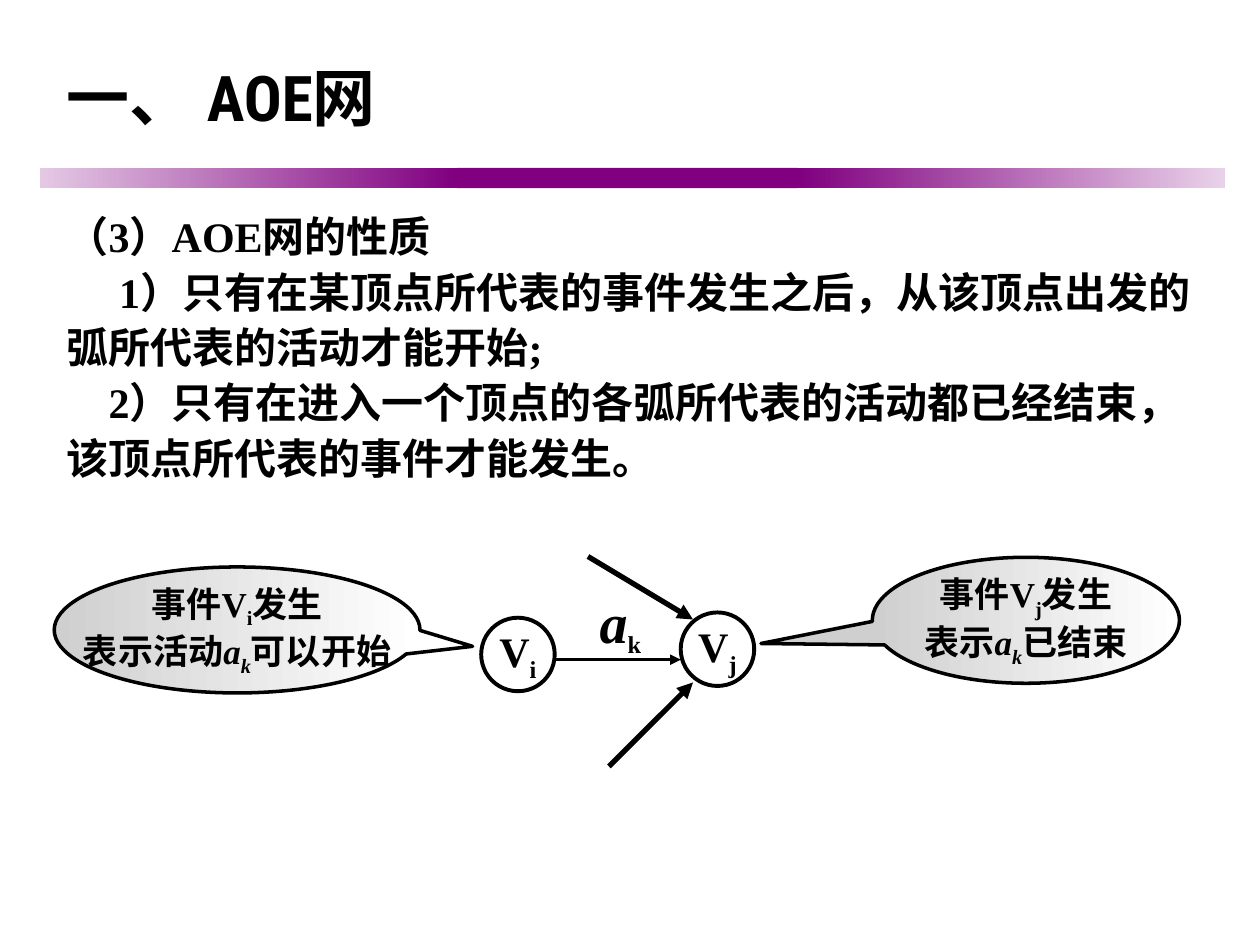
"""Build the slide on the properties of AOE networks."""
from lxml.etree import SubElement
from pptx import Presentation
from pptx.dml.color import RGBColor
from pptx.enum.lang import MSO_LANGUAGE_ID as Lang
from pptx.enum.shapes import MSO_CONNECTOR as Conn, MSO_SHAPE as Kind
from pptx.enum.text import MSO_ANCHOR as Anchor, PP_ALIGN as Align
from pptx.oxml.ns import qn
from pptx.util import Pt

BLACK = RGBColor(0, 0, 0)
WHITE = RGBColor(255, 255, 255)
GREY = RGBColor(0xCF, 0xCF, 0xCF)
PURPLE = RGBColor(0x80, 0, 0x80)
LILAC = RGBColor(0xE4, 0xC9, 0xE4)
PALE = RGBColor(0xE9, 0xD2, 0xE9)
SERIF = "Times New Roman"
HEAD = "Roboto Condensed"

TITLE = [[("一、 AOE网", "")]]
BODY = [
    [("（3）AOE网的性质", "")],
    [("1）只有在某顶点所代表的事件发生之后，从该顶点出发的弧所代表的活动才能开始;", "")],
    [("2）只有在进入一个顶点的各弧所代表的活动都已经结束，该顶点所代表的事件才能发生。", "")],
]
BANDS = [(23, 238, (LILAC, PURPLE)), (261, 195, (PURPLE,)), (456, 244, (PURPLE, PALE))]
NOTES = [
    ((498.5, 318.5, 175.5, 72), (-0.863, 0.184),
     [[("事件V", ""), ("j", "s"), ("发生", "")],
      [("表示", ""), ("a", "i"), ("k", "is"), ("已结束", "")]]),
    ((31, 324, 209, 72), (0.644, 0.13),
     [[("事件V", ""), ("i", "s"), ("发生", "")],
      [("表示活动", ""), ("a", "i"), ("k", "is"), ("可以开始", "")]]),
]
NODES = [(389, 350, "j"), (275, 353, "i")]
SIZE = 42
ARROWS = [(317, 377, 389, 377, 2), (336, 318, 396, 354, 3), (348, 438, 396, 390, 3)]

deck = Presentation()
deck.slide_width, deck.slide_height = Pt(720), Pt(540)
slide = deck.slides.add_slide(deck.slide_layouts[6])
shapes = slide.shapes


def write(shape, paras, size=24, face=SERIF, align=Align.CENTER, anchor=Anchor.MIDDLE,
          wrap=False, space=None, dents=(), sizes=None):
    """Fill a shape with paragraphs of (text, style) runs; i is italic, s is subscript."""
    frame = shape.text_frame
    frame.word_wrap, frame.vertical_anchor = wrap, anchor
    for num, runs in enumerate(paras):
        para = frame.add_paragraph() if num else frame.paragraphs[0]
        para.alignment = align
        if space:
            para.line_spacing = space
        if dents:
            para._p.get_or_add_pPr().set("indent", str(Pt(dents[num])))
        for text, style in runs:
            run = para.add_run()
            run.text = text
            font = run.font
            font.name, font.bold, font.italic = face, True, "i" in style
            font.size = Pt((sizes or {}).get(style, size))
            font.color.rgb = BLACK
            font.language_id = Lang.SIMPLIFIED_CHINESE
            if "s" in style:
                font._element.set("baseline", "-25000")


def label(box, paras, **form):
    write(shapes.add_textbox(*map(Pt, box)), paras, **form)


def draw(kind, box, fills=(), line=None):
    shape = shapes.add_shape(kind, *map(Pt, box))
    shape.shadow.inherit = False
    if len(fills) == 2:
        shape.fill.gradient()
        shape.fill.gradient_angle = 0
        for stop, tint, spot in zip(shape.fill.gradient_stops, fills, (0, 1)):
            stop.color.rgb, stop.position = tint, spot
    elif fills:
        shape.fill.solid()
        shape.fill.fore_color.rgb = fills[0]
    else:
        shape.fill.background()
    if line:
        shape.line.color.rgb, shape.line.width = BLACK, Pt(line)
    else:
        shape.line.fill.background()
    return shape


def arrow(*ends, width):
    link = shapes.add_connector(Conn.STRAIGHT, *map(Pt, ends))
    link.line.color.rgb, link.line.width = BLACK, Pt(width)
    SubElement(link.line._get_or_add_ln(), qn("a:tailEnd"), type="triangle")
    SubElement(link._element.spPr, qn("a:effectLst"))


for left, width, fills in BANDS:
    draw(Kind.RECTANGLE, (left, 96, width, 11.5), fills)

label((31, 26, 652, 58), TITLE, size=36, face=HEAD, align=Align.LEFT, wrap=True)
label((31, 114, 663, 197), BODY, align=Align.LEFT, anchor=Anchor.TOP, wrap=True,
      space=1.1, dents=(0, 30, 24))

for box, tip, paras in NOTES:
    note = draw(Kind.OVAL_CALLOUT, box, (GREY, WHITE), 2)
    note.adjustments[0], note.adjustments[1] = tip
    write(note, paras, size=20)

for *ends, width in ARROWS:
    arrow(*ends, width=width)

label((306.5, 341, 96, 30), [[("a", "i"), ("k", "s")]], sizes={"i": 32})

for left, top, sub in NODES:
    node = draw(Kind.OVAL, (left, top, SIZE, SIZE), line=2.25)
    write(node, [[("V", ""), (sub, "s")]])

deck.save("out.pptx")
